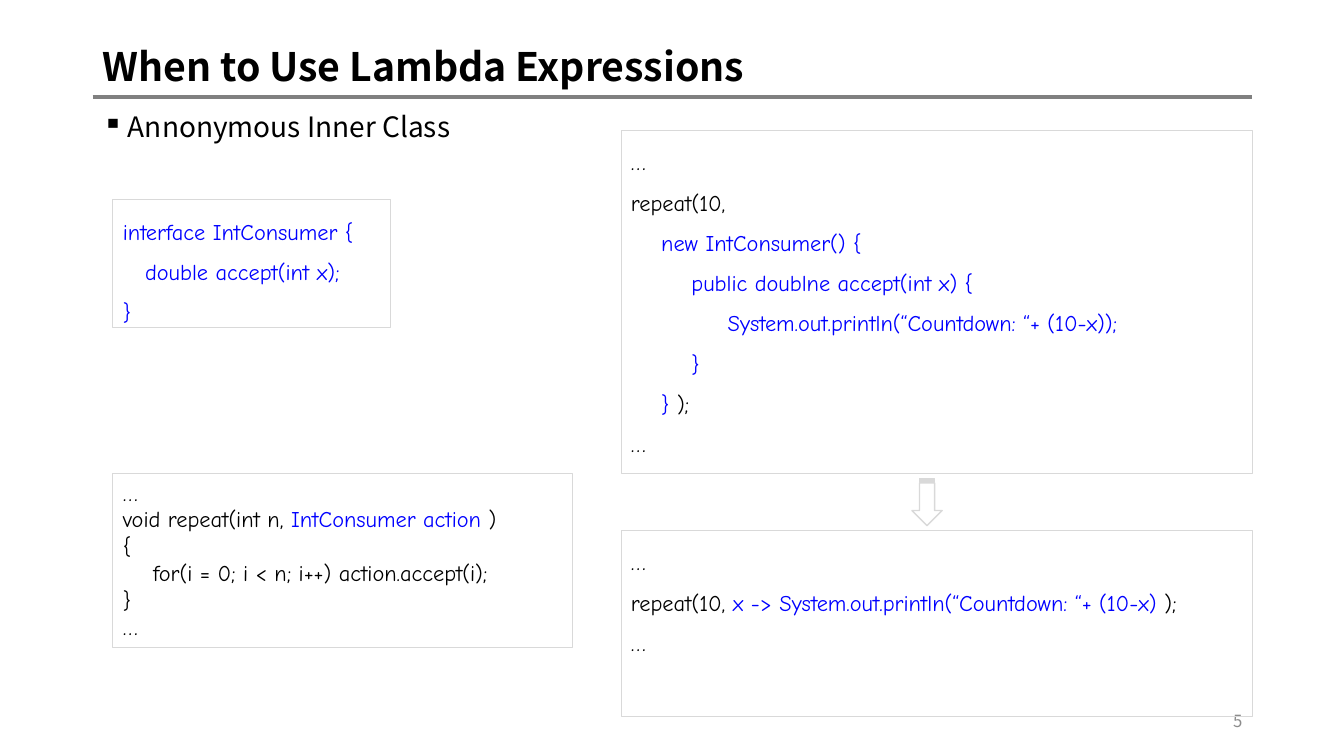
from lxml.etree import SubElement
from pptx import Presentation
from pptx.dml.color import RGBColor
from pptx.enum.shapes import MSO_CONNECTOR, MSO_SHAPE
from pptx.enum.text import MSO_ANCHOR, PP_ALIGN
from pptx.oxml.ns import qn
from pptx.util import Inches, Pt

COLORS = {"black": "000000", "blue": "0000FF", "rule": "808080",
          "border": "D9D9D9", "number": "8C8C8C"}
HEADING_FONT = "Noto Sans CJK KR"
CODE_FONT = "Comic Neue"
MARGIN, CONTENT_WIDTH = 0.92, 11.5
LEFT_CODE, RIGHT_CODE, RIGHT_WIDTH = 1.12, 6.16, 6.26
INDENT = 0.3


class SlideBuilder:
    def __init__(self, slide):
        self.slide = slide

    def color(self, name):
        return RGBColor.from_string(COLORS[name])

    def add_span(self, para, text, color="black", **values):
        span = para.add_run()
        span.text = text
        for name, value in values.items():
            setattr(span.font, name, value)
        span.font.color.rgb = self.color(color)

    def text(self, place, text, color="black", anchor=MSO_ANCHOR.TOP,
             layout=None, **values):
        box = self.slide.shapes.add_textbox(*map(Inches, place))
        frame = box.text_frame
        frame.word_wrap = True
        frame.vertical_anchor = anchor
        para = frame.paragraphs[0]
        for name, value in (layout or {}).items():
            setattr(para, name, value)
        self.add_span(para, text, color, name=HEADING_FONT, **values)
        return para

    def bullet(self, place, text, **values):
        para = self.text(place, text, **values)
        properties = para._p.get_or_add_pPr()
        properties.set("marL", str(Inches(0.25)))
        properties.set("indent", str(-Inches(0.25)))
        SubElement(properties, qn("a:buChar")).set("char", "▪")

    def rule(self, left, right, top):
        line = self.slide.shapes.add_connector(
            MSO_CONNECTOR.STRAIGHT, *map(Inches, (left, top, right, top)))
        line.line.color.rgb = self.color("rule")
        line.line.width = Pt(3)
        SubElement(line._element.spPr, qn("a:effectLst"))

    def outline(self, kind, place, width):
        shape = self.slide.shapes.add_shape(kind, *map(Inches, place))
        shape.shadow.inherit = False
        shape.fill.background()
        shape.line.color.rgb = self.color("border")
        shape.line.width = Pt(width)
        return shape

    def code(self, place, lines, spacing=1.5):
        frame = self.outline(MSO_SHAPE.RECTANGLE, place, 0.75).text_frame
        frame.word_wrap = True
        frame.vertical_anchor = MSO_ANCHOR.TOP
        for number, (indent, *spans) in enumerate(lines):
            para = frame.add_paragraph() if number else frame.paragraphs[0]
            para.alignment = PP_ALIGN.LEFT
            para.line_spacing = spacing
            para._p.get_or_add_pPr().set("marL", str(Inches(indent)))
            for text, color in spans:
                self.add_span(para, text, color, name=CODE_FONT, size=Pt(16))


deck = Presentation()
deck.slide_width, deck.slide_height = Inches(13.33), Inches(7.5)
page = SlideBuilder(deck.slides.add_slide(deck.slide_layouts[6]))

page.rule(MARGIN, MARGIN + CONTENT_WIDTH, 0.96)
page.text((MARGIN, 0.4, CONTENT_WIDTH, 0.56), "When to Use Lambda Expressions",
          anchor=MSO_ANCHOR.MIDDLE, layout={"line_spacing": 0.9},
          size=Pt(28), bold=True)
page.bullet((MARGIN, 1.08, CONTENT_WIDTH, 5.67), "Annonymous Inner Class",
            layout={"line_spacing": 0.9, "space_before": Pt(10)}, size=Pt(20))
page.text((9.42, 6.95, 3, 0.4), "5", "number", MSO_ANCHOR.MIDDLE,
          {"alignment": PP_ALIGN.RIGHT}, size=Pt(12))

ellipsis = (0, ("…", "black"))
page.code((LEFT_CODE, 1.98, 2.75, 1.27), [
    (0, ("interface IntConsumer {", "blue")),
    (0.22, ("double accept(int x);", "blue")),
    (0, ("}", "blue")),
])
page.code((LEFT_CODE, 4.7, 4.56, 1.72), [
    ellipsis,
    (0, ("void repeat(int n, ", "black"), ("IntConsumer action ", "blue"),
     (")", "black")),
    (0, ("{", "black")),
    (INDENT, ("for(i = 0; i < n; i++) action.accept(i);", "black")),
    (0, ("}", "black")),
    ellipsis,
], spacing=1.0)
page.code((RIGHT_CODE, 1.29, RIGHT_WIDTH, 3.41), [
    ellipsis,
    (0, ("repeat(10,", "black")),
    (INDENT, ("new IntConsumer() {", "blue")),
    (2 * INDENT, ("public doublne accept(int x) {", "blue")),
    (0.96, ("System.out.println(“Countdown: “+ (10-x));", "blue")),
    (2 * INDENT, ("}", "blue")),
    (INDENT, ("} ", "blue"), (");", "black")),
    ellipsis,
])
page.code((RIGHT_CODE, 5.26, RIGHT_WIDTH, 1.85), [
    ellipsis,
    (0, ("repeat(10, ", "black"),
     ("x -> System.out.println(“Countdown: “+ (10-x) ", "blue"),
     (");", "black")),
    ellipsis,
])
arrow = page.outline(MSO_SHAPE.STRIPED_RIGHT_ARROW, (8.96, 4.83, 0.47, 0.3), 1)
arrow.rotation = 90

deck.save("out.pptx")
